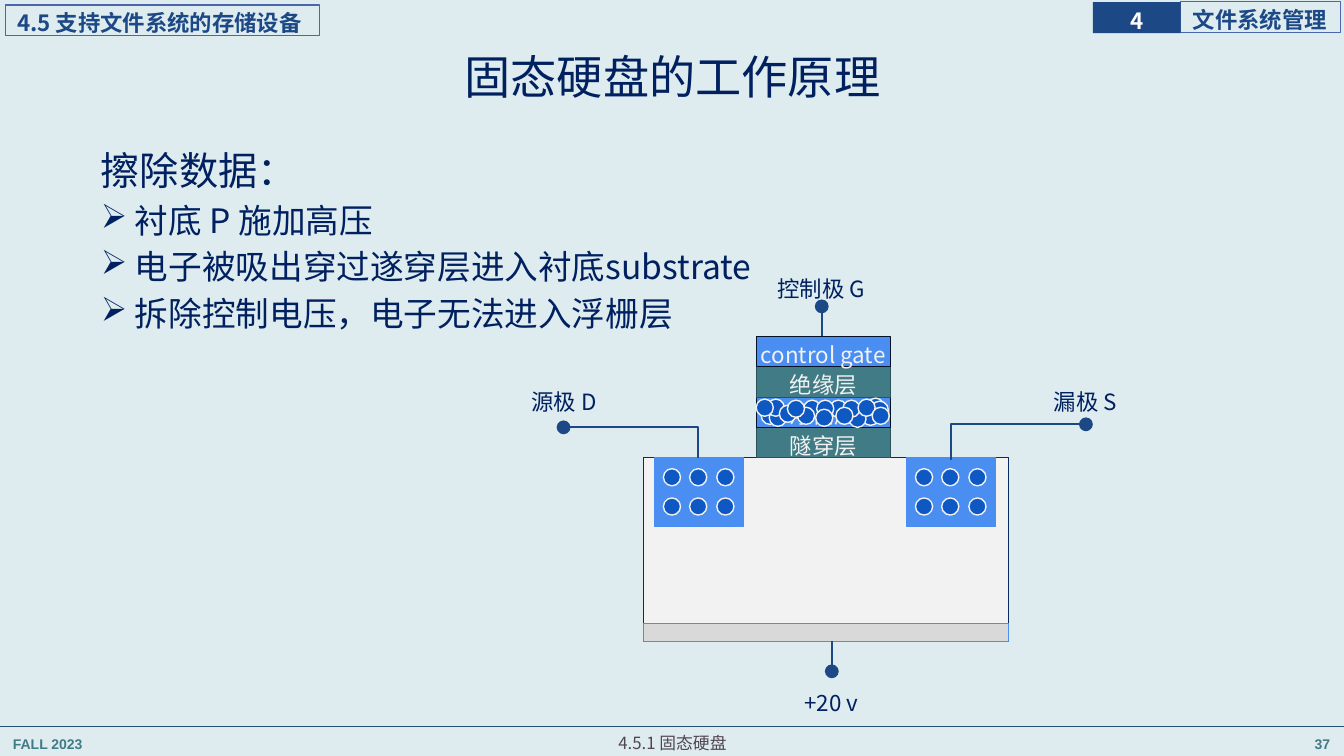
"""Build the slide that explains how a solid-state drive erases data."""
from dataclasses import dataclass
from itertools import product
from typing import NamedTuple, Optional

from lxml.etree import SubElement
from pptx import Presentation
from pptx.dml.color import RGBColor
from pptx.enum.shapes import MSO_CONNECTOR, MSO_SHAPE
from pptx.enum.text import MSO_ANCHOR, PP_ALIGN
from pptx.oxml.ns import qn
from pptx.shapes.autoshape import Shape
from pptx.slide import Slide
from pptx.util import Pt

EMU_PER_PX = 9144


@dataclass(frozen=True)
class Theme:
    sans: str = "Noto Sans CJK SC"
    footer_font: str = "Arial"
    background: str = "DEECEF"
    ink: str = "002060"
    brand: str = "1C4885"
    frame: str = "4A66AC"
    teal: str = "417B85"
    teal_edge: str = "2B5259"
    blue: str = "4A8EF2"
    blue_edge: str = "031227"
    electron: str = "0E58C4"
    pale: str = "F2F2F2"
    substrate_edge: str = "072C62"
    electrode: str = "D9D9D9"
    rule: str = "234F77"
    section: str = "504652"
    white: str = "FFFFFF"
    title_size: int = 33
    lead_size: int = 28
    point_size: int = 24
    label_size: int = 16
    section_size: int = 12
    footer_size: int = 10


THEME = Theme()


class Box(NamedTuple):
    left: int
    top: int
    width: int
    height: int


class Layer(NamedTuple):
    text: str
    fill: str
    edge: str


class Label(NamedTuple):
    text: str
    box: Box


class Lead(NamedTuple):
    start: tuple[int, int]
    end: tuple[int, int]
    bend: Optional[int] = None


INSETS = (10, 5, 10, 5)
BODY_INSETS = (8, 4, 8, 4)
TAG_INSETS = (12, 0, 0, 0)
NO_INSETS = (0, 0, 0, 0)

POINTS = (" 衬底 P 施加高压", " 电子被吸出穿过遂穿层进入衬底substrate", " 拆除控制电压，电子无法进入浮栅层")
LAYERS = (
    Layer("隧穿层", THEME.teal, THEME.teal_edge),
    Layer("浮栅层", THEME.blue, THEME.blue_edge),
    Layer("绝缘层", THEME.teal, THEME.teal_edge),
    Layer("control gate", THEME.blue, THEME.blue_edge),
)
LABELS = (
    Label("控制极 G", Box(733, 263, 163, 40)),
    Label("源极 D", Box(500, 375, 119, 40)),
    Label("漏极 S", Box(1017, 375, 119, 40)),
    Label("+20 v", Box(765, 673, 119, 40)),
)
LEADS = (
    Lead((815, 333), (815, 304)),
    Lead((942, 456), (1077, 421), 900),
    Lead((693, 454), (559, 424), 300),
    Lead((825, 636), (825, 666)),
)
TRAPPED_ELECTRONS = (
    (755, 404), (855, 405), (860, 395), (823, 397), (864, 398), (763, 406), (797, 397),
    (791, 404), (761, 396), (773, 402), (750, 396), (842, 407), (836, 397), (829, 404),
    (810, 397), (809, 406), (851, 396), (781, 397), (865, 404),
)


def px(length: int) -> int:
    """Turn px into EMU."""
    return length * EMU_PER_PX


def rgb(colour: str) -> RGBColor:
    """Turn a hex string into a colour."""
    return RGBColor.from_string(colour)


def draw_shape(slide: Slide, box: Box, fill: Optional[str] = None, edge: Optional[str] = None,
               width: float = 0.75, kind: MSO_SHAPE = MSO_SHAPE.RECTANGLE) -> Shape:
    """Draw a preset shape without shadow."""
    shape = slide.shapes.add_shape(kind, *map(px, box))
    shape.shadow.inherit = False
    if fill:
        shape.fill.solid()
        shape.fill.fore_color.rgb = rgb(fill)
    else:
        shape.fill.background()
    if edge:
        shape.line.color.rgb = rgb(edge)
        shape.line.width = Pt(width)
    else:
        shape.line.fill.background()
    return shape


def draw_electron(slide: Slide, left: int, top: int) -> None:
    """Draw one electron."""
    draw_shape(slide, Box(left, top, 17, 17), THEME.electron, THEME.pale, 1, MSO_SHAPE.OVAL)


def draw_line(slide: Slide, lead: Lead, colour: str, width: float, dot: bool = True) -> None:
    """Draw a straight or bent line, with an optional round end."""
    kind = MSO_CONNECTOR.STRAIGHT if lead.bend is None else MSO_CONNECTOR.ELBOW
    line = slide.shapes.add_connector(kind, *map(px, lead.start + lead.end))
    line.line.color.rgb = rgb(colour)
    line.line.width = Pt(width)
    properties = line._element.spPr
    if dot:
        SubElement(properties.find(qn("a:ln")), qn("a:tailEnd"), type="oval", w="lg", len="lg")
    if lead.bend is not None:
        adjustments = properties.find(qn("a:prstGeom")).find(qn("a:avLst"))
        SubElement(adjustments, qn("a:gd"), name="adj1", fmla=f"val {lead.bend}")
    SubElement(properties, qn("a:effectLst"))


def write(holder: Shape, text: str, *, size: int, colour: str = THEME.ink, font: str = THEME.sans,
          bold: bool = False, align: PP_ALIGN = PP_ALIGN.LEFT, anchor: MSO_ANCHOR = MSO_ANCHOR.TOP,
          insets: tuple[int, int, int, int] = INSETS, wrap: bool = True, spacing: float = 1.2,
          before: Optional[float] = None, after: Optional[float] = None,
          bullet: Optional[str] = None) -> None:
    """Add one formatted paragraph to a shape or text box."""
    frame = holder.text_frame
    frame.word_wrap, frame.vertical_anchor = wrap, anchor
    frame.margin_left, frame.margin_top, frame.margin_right, frame.margin_bottom = map(px, insets)
    paragraph = frame.add_paragraph() if frame.text else frame.paragraphs[0]
    paragraph.alignment, paragraph.line_spacing = align, spacing
    paragraph.space_before = Pt(size * 0.1 if before is None else before)
    paragraph.space_after = Pt(size * 0.1 if after is None else after)
    if bullet:
        properties = paragraph._p.get_or_add_pPr()
        properties.set("marL", str(px(19)))
        properties.set("indent", str(px(-19)))
        SubElement(properties, qn("a:buChar"), char=bullet)
    run = paragraph.add_run()
    run.text = text
    run.font.size, run.font.bold, run.font.name = Pt(size), bold, font
    run.font.color.rgb = rgb(colour)
    SubElement(run._r.get_or_add_rPr(), qn("a:ea"), typeface=font)


def write_box(slide: Slide, text: str, box: Box, **style) -> Shape:
    """Add a text box holding one paragraph."""
    holder = slide.shapes.add_textbox(*map(px, box))
    write(holder, text, **style)
    return holder


def draw_frame(slide: Slide) -> None:
    """Draw the header tags and the footer."""
    footer = dict(size=THEME.footer_size, colour=THEME.teal, font=THEME.footer_font, bold=True)
    write_box(slide, "FALL 2023", Box(3, 721, 278, 31), **footer)
    write_box(slide, "37", Box(1051, 721, 278, 31), align=PP_ALIGN.RIGHT, **footer)
    tag = dict(size=THEME.label_size, bold=True, anchor=MSO_ANCHOR.MIDDLE)
    for text, box in (("文件系统管理", Box(1171, 2, 159, 30)),
                      ("4.5 支持文件系统的存储设备", Box(5, 5, 312, 30))):
        write(draw_shape(slide, box, edge=THEME.frame), text, colour=THEME.brand,
              insets=TAG_INSETS, **tag)
    write(draw_shape(slide, Box(1084, 2, 87, 31), THEME.brand), "4", colour=THEME.white,
          insets=NO_INSETS, wrap=False, align=PP_ALIGN.CENTER, **tag)
    draw_line(slide, Lead((0, 721), (1333, 721)), THEME.rule, 0.5, dot=False)
    write_box(slide, "4.5.1 固态硬盘", Box(167, 718, 1000, 32), size=THEME.section_size,
              colour=THEME.section, align=PP_ALIGN.CENTER)


def draw_text(slide: Slide) -> None:
    """Write the title and the erase steps."""
    write_box(slide, "固态硬盘的工作原理", Box(92, 40, 1150, 77), size=THEME.title_size, spacing=0.9,
              before=0, after=0, align=PP_ALIGN.CENTER, anchor=MSO_ANCHOR.MIDDLE, insets=BODY_INSETS)
    style = dict(spacing=0.9, before=7.5, after=0, insets=BODY_INSETS)
    steps = write_box(slide, "擦除数据：", Box(92, 146, 1150, 564), size=THEME.lead_size, **style)
    for point in POINTS:
        write(steps, point, size=THEME.point_size, bullet="➢", **style)


def draw_transistor(slide: Slide) -> None:
    """Draw the floating-gate transistor with its leads and electrons."""
    draw_shape(slide, Box(638, 454, 362, 182), THEME.pale, THEME.substrate_edge)
    draw_shape(slide, Box(638, 619, 362, 17), THEME.electrode, THEME.blue)
    for well_left in (649, 899):
        draw_shape(slide, Box(well_left, 454, 88, 68), THEME.blue, THEME.blue)
        for row, column in product(range(2), range(3)):
            draw_electron(slide, well_left + 9 + 265 * column // 10, 465 + 29 * row)
    for level, layer in enumerate(LAYERS):
        box = Box(750, 424 - 303 * level // 10, 133, 30)
        write(draw_shape(slide, box, layer.fill, layer.edge), layer.text, size=THEME.label_size,
              colour=THEME.pale, align=PP_ALIGN.CENTER, anchor=MSO_ANCHOR.MIDDLE, insets=NO_INSETS)
    for lead in LEADS:
        draw_line(slide, lead, THEME.brand, 1.25)
    for label in LABELS:
        write_box(slide, label.text, label.box, size=THEME.label_size, align=PP_ALIGN.CENTER)
    for left, top in TRAPPED_ELECTRONS:
        draw_electron(slide, left, top)


def main() -> None:
    """Build and save the slide."""
    deck = Presentation()
    deck.slide_width, deck.slide_height = px(1333), px(750)
    slide = deck.slides.add_slide(deck.slide_layouts[6])
    slide.background.fill.solid()
    slide.background.fill.fore_color.rgb = rgb(THEME.background)
    draw_frame(slide)
    draw_text(slide)
    draw_transistor(slide)
    deck.save("out.pptx")


if __name__ == "__main__":
    main()
